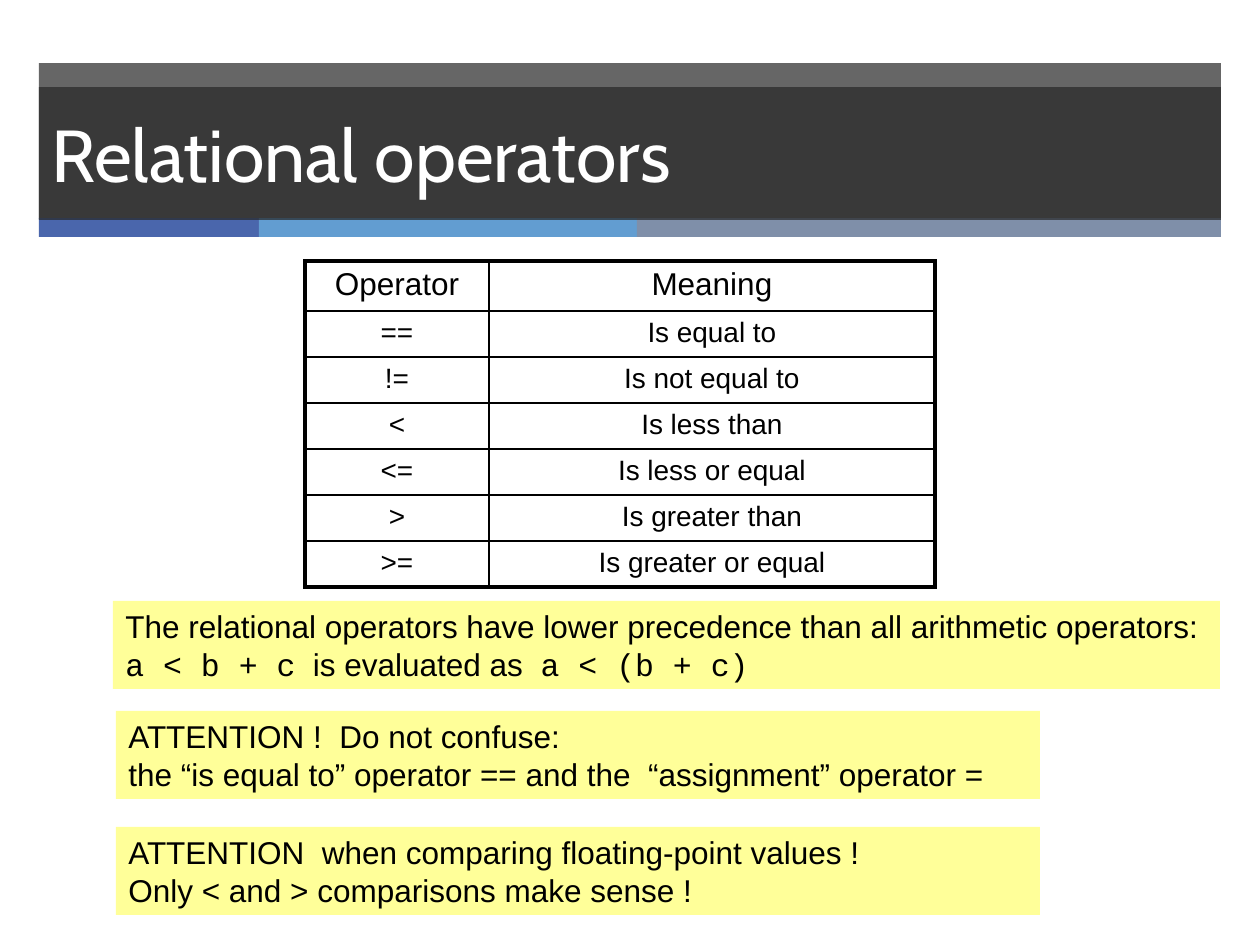
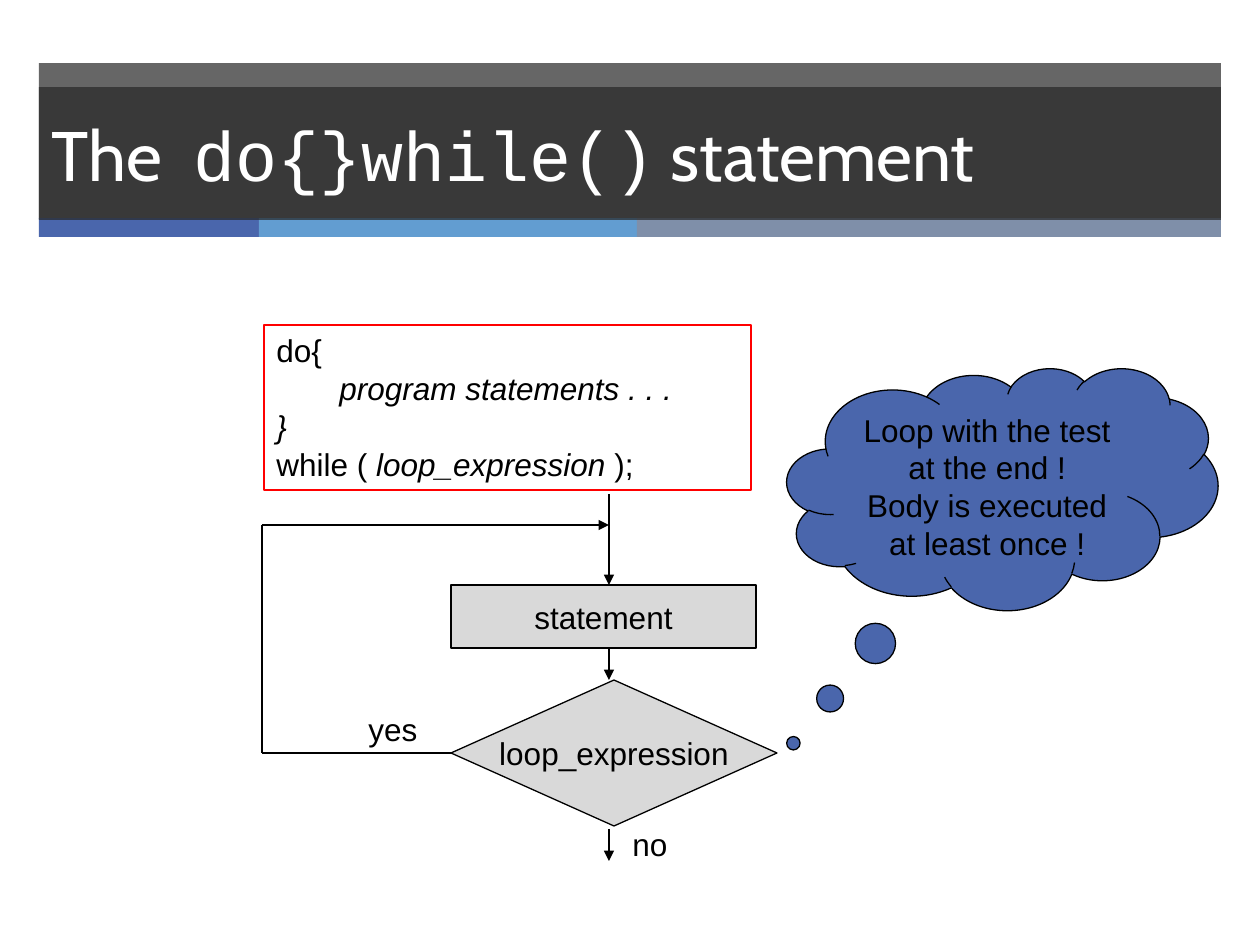
from lxml.etree import SubElement
from pptx import Presentation
from pptx.dml.color import RGBColor
from pptx.enum.shapes import MSO_CONNECTOR, MSO_SHAPE as Shape
from pptx.enum.text import MSO_ANCHOR as Anchor, PP_ALIGN as Align
from pptx.oxml.ns import qn
from pptx.util import Emu, Pt

PX = 914400 / 126
WIDTH, HEIGHT = 1260, 945

BLACK = RGBColor(0x00, 0x00, 0x00)
WHITE = RGBColor(0xFF, 0xFF, 0xFF)
CHARCOAL = RGBColor(0x26, 0x26, 0x26)
BLUE = RGBColor(0x4A, 0x66, 0xAC)
SKY = RGBColor(0x62, 0x9D, 0xD1)
SLATE = RGBColor(0x7F, 0x8F, 0xA9)
YELLOW = RGBColor(0xFF, 0xFF, 0x99)
GREY = RGBColor(0xD9, 0xD9, 0xD9)
RED = RGBColor(0xFF, 0x00, 0x00)

BODY, TITLE, CODE = "Arial", "Cabin", "Courier New"
THIN, THICK = 1, 2.25
BAND_LEFT, BAND_WIDTH = 39, 1182


def px(length):
    return Emu(round(length * PX))


class Deck:
    """Holds the shared style and the slide being built."""

    def __init__(self):
        self.presentation = Presentation()
        self.presentation.slide_width = px(WIDTH)
        self.presentation.slide_height = px(HEIGHT)
        self.slide = None

    def new_slide(self, title, size):
        layout = self.presentation.slide_layouts[6]
        self.slide = self.presentation.slides.add_slide(layout)
        # Header band, coloured strip and title
        self.box(BAND_LEFT, 63, BAND_WIDTH, 156, fill=CHARCOAL, alpha=70)
        left = BAND_LEFT
        for width, color in ((220, BLUE), (378, SKY), (584, SLATE)):
            self.box(left, 218, width, 19, fill=color)
            left += width
        self.box(BAND_LEFT, 87, BAND_WIDTH, 133, [title], fill=CHARCOAL, alpha=70,
                 anchor=Anchor.MIDDLE, font=TITLE, size=size, color=WHITE)

    def add_text(self, frame, paragraphs, align=Align.LEFT, font=BODY, size=18, color=BLACK):
        """Each paragraph is a string or a list of (text, font name, italic) runs."""
        for index, content in enumerate(paragraphs):
            paragraph = frame.add_paragraph() if index else frame.paragraphs[0]
            paragraph.alignment = align
            paragraph.font.name = font
            paragraph.font.size = Pt(size)
            paragraph.font.color.rgb = color
            if isinstance(content, str):
                paragraph.add_run().text = content
                continue
            for text, name, italic in content:
                run = paragraph.add_run()
                run.text = text
                run.font.name = name
                run.font.italic = italic

    def box(self, left, top, width, height, paragraphs=(), kind=Shape.RECTANGLE, fill=None,
            alpha=None, line=None, anchor=Anchor.TOP, wrap=True, **style):
        shape = self.slide.shapes.add_shape(kind, px(left), px(top), px(width), px(height))
        shape.shadow.inherit = False
        if fill is None:
            shape.fill.background()
        else:
            shape.fill.solid()
            shape.fill.fore_color.rgb = fill
        if alpha:
            color = shape._element.spPr.find(".//" + qn("a:srgbClr"))
            SubElement(color, qn("a:alpha"), val=str(alpha * 1000))
        if line is None:
            shape.line.fill.background()
        else:
            shape.line.color.rgb = line
            shape.line.width = Pt(0.75)
        shape.text_frame.vertical_anchor = anchor
        shape.text_frame.word_wrap = wrap
        self.add_text(shape.text_frame, paragraphs, **style)
        return shape

    def label(self, left, top, width, text):
        shape = self.slide.shapes.add_textbox(px(left), px(top), px(width), px(50))
        shape.text_frame.word_wrap = False
        self.add_text(shape.text_frame, [text])

    def line(self, start, end, arrow=True):
        ends = [px(value) for value in (*start, *end)]
        connector = self.slide.shapes.add_connector(MSO_CONNECTOR.STRAIGHT, *ends)
        connector.line.color.rgb = BLACK
        connector.line.width = Pt(0.75)
        properties = connector._element.spPr
        if arrow:
            SubElement(properties.find(qn("a:ln")), qn("a:tailEnd"), type="triangle")
        SubElement(properties, qn("a:effectLst"))
        return connector

    def border(self, cell, widths):
        properties = cell._tc.get_or_add_tcPr()
        for index, (side, width) in enumerate(widths.items()):
            edge = SubElement(properties, qn("a:ln" + side), w=str(Pt(width)))
            fill = SubElement(edge, qn("a:solidFill"))
            SubElement(fill, qn("a:srgbClr"), val=str(BLACK))
            properties.insert(index, edge)

    def table(self, left, top, column_widths, row_heights, rows):
        frame = self.slide.shapes.add_table(
            len(rows), len(column_widths), px(left), px(top),
            px(sum(column_widths)), px(sum(row_heights)))
        table = frame.table
        table.first_row = table.horz_banding = False
        for column, width in zip(table.columns, column_widths):
            column.width = px(width)
        last_row, last_column = len(rows) - 1, len(column_widths) - 1
        for r, texts in enumerate(rows):
            table.rows[r].height = px(row_heights[r])
            for c, text in enumerate(texts):
                cell = table.cell(r, c)
                cell.fill.background()
                self.add_text(cell.text_frame, [text], align=Align.CENTER, size=16 if r else 18)
                self.border(cell, {
                    "L": THIN if c else THICK,
                    "R": THICK if c == last_column else THIN,
                    "T": THIN if r else THICK,
                    "B": THICK if r == last_row else THIN})


def relational_operators(deck):
    deck.new_slide("Relational operators", 42)

    # Operator table
    rows = [("Operator", "Meaning"), ("==", "Is equal to"), ("!=", "Is not equal to"),
            ("<", "Is less than"), ("<=", "Is less or equal"),
            (">", "Is greater than"), (">=", "Is greater or equal")]
    deck.table(305, 261, (184, 446), [50] + [46] * 6, rows)

    # Yellow notes
    deck.box(113, 601, 1107, 88, [
        "The relational operators have lower precedence than all arithmetic operators:",
        [("a < b + c", CODE, None), ("  is evaluated as  ", BODY, None),
         ("a < (b + c)", CODE, None)]], fill=YELLOW)
    attention_notes = [
        (711, ["ATTENTION !  Do not confuse:",
               "the “is equal to” operator == and the  “assignment” operator ="]),
        (827, ["ATTENTION  when comparing floating-point values !",
               "Only < and > comparisons make sense !"])]
    for top, paragraphs in attention_notes:
        deck.box(116, top, 924, 88, paragraphs, fill=YELLOW)


def do_while_statement(deck):
    deck.new_slide([("The  ", TITLE, None), ("do{}while()", CODE, None),
                    (" statement", TITLE, None)], 40)

    # Syntax
    deck.box(264, 325, 487, 165, [
        "do{",
        [("\tprogram statements . . .", BODY, True)],
        [("}", BODY, True)],
        [("while ( ", BODY, False), ("loop_expression ", BODY, True), (");", BODY, False)],
    ], line=RED)

    # Flowchart steps
    step = dict(fill=GREY, line=BLACK, anchor=Anchor.MIDDLE, wrap=False, align=Align.CENTER)
    deck.box(451, 585, 305, 63, ["statement"], Shape.FLOWCHART_PROCESS, **step)
    decision = deck.box(451, 680, 326, 146, ["loop_expression"],
                        Shape.FLOWCHART_DECISION, **step)

    # Downward flow
    flow_x, loop_x, loop_top, loop_bottom = 609, 262, 525, 753
    for top, bottom in ((494, 585), (648, 680), (829, 861)):
        deck.line((flow_x, top), (flow_x, bottom))

    # Loop back to the statement
    loop_exit = deck.line((451, loop_bottom), (loop_x, loop_bottom), arrow=False)
    loop_exit.begin_connect(decision, 1)
    deck.line((loop_x, loop_bottom), (loop_x, loop_top), arrow=False)
    deck.line((loop_x, loop_top), (flow_x, loop_top))
    deck.label(356, 704, 74, "yes")
    deck.label(620, 819, 60, "no")

    # Thought cloud
    cloud = deck.box(787, 368, 431, 242, [
        "Loop with the test at the end !", "Body is executed at least once !"],
        Shape.CLOUD_CALLOUT, fill=BLUE, line=BLACK, align=Align.CENTER)
    cloud.adjustments[0] = -0.485
    cloud.adjustments[1] = 1.051


def main():
    deck = Deck()
    relational_operators(deck)
    do_while_statement(deck)
    deck.presentation.save("out.pptx")


if __name__ == "__main__":
    main()
